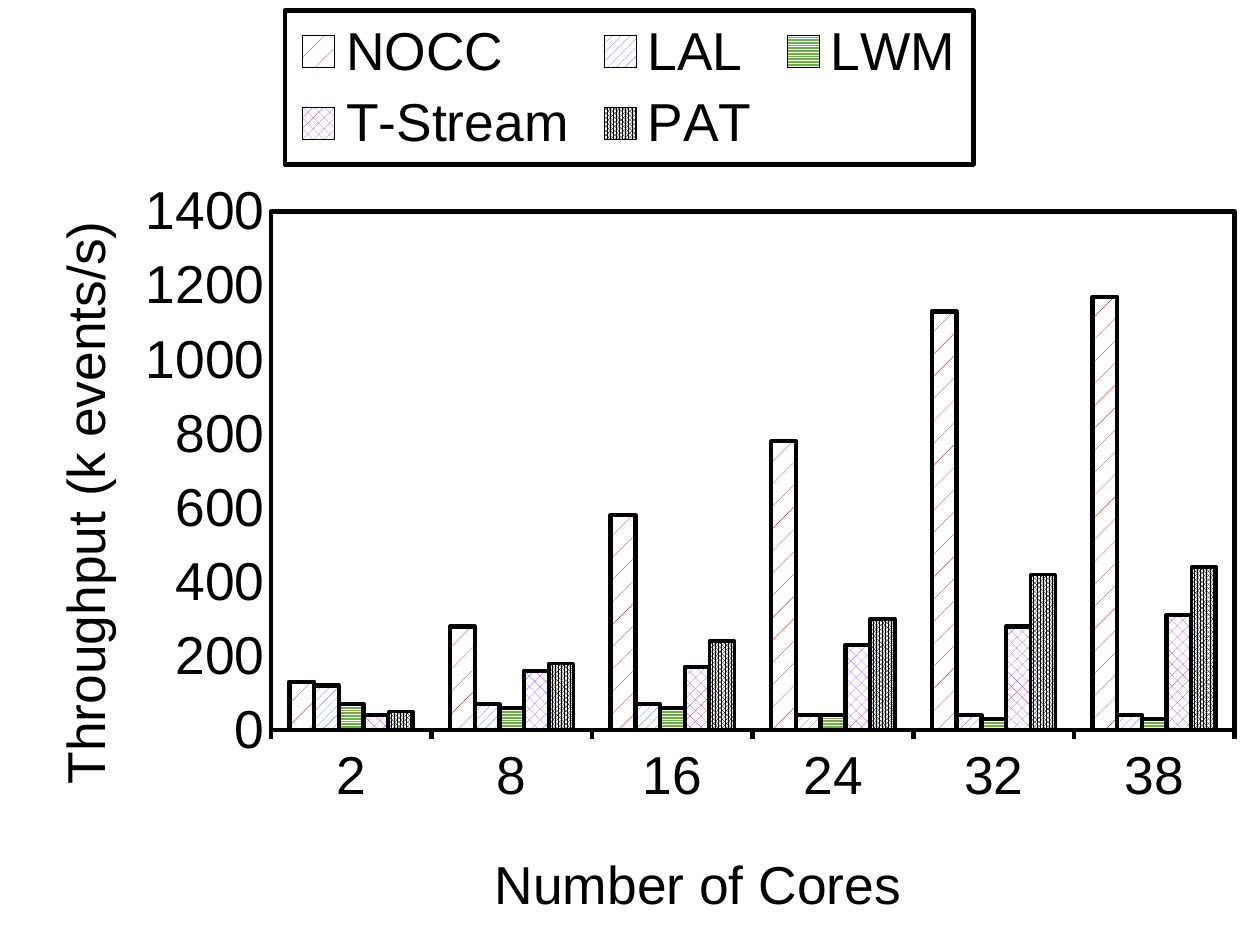
from lxml import etree
from pptx import Presentation
from pptx.chart.data import CategoryChartData
from pptx.dml.color import RGBColor
from pptx.enum.chart import XL_CHART_TYPE as Kind, XL_LEGEND_POSITION as Legend, XL_TICK_MARK as Tick
from pptx.enum.dml import MSO_PATTERN as Pat
from pptx.oxml import parse_xml
from pptx.oxml.ns import nsdecls, qn
from pptx.util import Cm, Pt

COLORS = {"black": "000000", "white": "FFFFFF", "red": "C90001",
          "blue": "4472C4", "green": "70AD47", "purple": "A345EE"}
FONT, SIZE = "Arial", Pt(24)
WIDTH, HEIGHT = Cm(20), Cm(15)
CORES = ["2", "8", "16", "24", "32", "38"]
SERIES = [
    ("NOCC", [130, 280, 580, 780, 1130, 1170], Pat.PERCENT_5, "red", 2),
    ("LAL", [120, 70, 70, 40, 40, 40], Pat.WIDE_UPWARD_DIAGONAL, "blue", 2),
    ("LWM", [70, 60, 60, 40, 30, 30], Pat.DARK_HORIZONTAL, "green", 2),
    ("T-Stream", [40, 160, 170, 230, 280, 310], Pat.PERCENT_50, "purple", 2),
    ("PAT", [50, 180, 240, 300, 420, 440], Pat.PERCENT_90, "black", 1.5),
]
PLOT_BOX = (Cm(4.3), Cm(3.36), Cm(15.3), Cm(8.23))
LEGEND_BOX = (Cm(4.52), Cm(0.17), Cm(10.93), Cm(2.44))
CORES_TITLE = (Cm(7.7), Cm(13.33))
THROUGHPUT_TITLE = (Cm(0.66), Cm(3.36))


def rgb(name):
    return RGBColor.from_string(COLORS[name])


def style_font(font):
    font.name, font.size, font.bold = FONT, SIZE, False
    font.color.rgb = rgb("black")


def style_line(line, points=2):
    line.width = Pt(points)
    line.color.rgb = rgb("black")


def place(element, index, box, inner=False):
    old = element.find(qn("c:layout"))
    if old is not None:
        element.remove(old)
    layout = etree.Element(qn("c:layout"))
    manual = etree.SubElement(layout, qn("c:manualLayout"))
    settings = [("layoutTarget", "inner")] if inner else []
    settings += [("xMode", "edge"), ("yMode", "edge")]
    settings += [(key, f"{length / full:.4f}")
                 for key, length, full in zip("xywh", box, (WIDTH, HEIGHT) * 2)]
    for key, value in settings:
        etree.SubElement(manual, qn(f"c:{key}")).set("val", value)
    element.insert(index, layout)


def frame():
    return parse_xml(
        f'<c:spPr {nsdecls("c", "a")}><a:noFill/><a:ln w="{Pt(2)}"><a:solidFill>'
        f'<a:srgbClr val="{COLORS["black"]}"/></a:solidFill></a:ln></c:spPr>')


def add_title(axis, text, box, rotation):
    tf = axis.axis_title.text_frame
    tf.text = text
    style_font(tf.paragraphs[0].runs[0].font)
    body = tf._txBody.find(qn("a:bodyPr"))
    body.set("rot", str(rotation))
    body.set("vert", "horz")
    place(axis.axis_title._element, 1, box)


def main():
    prs = Presentation()
    prs.slide_width, prs.slide_height = WIDTH, HEIGHT
    s = prs.slides.add_slide(prs.slide_layouts[6])

    data = CategoryChartData()
    data.categories = CORES
    for name, values, *_ in SERIES:
        data.add_series(name, values)
    chart = s.shapes.add_chart(Kind.COLUMN_CLUSTERED, 0, 0, WIDTH, HEIGHT, data).chart
    chart.has_title = False
    style_font(chart.font)

    plot = chart.plots[0]
    plot.gap_width, plot.overlap = 150, 0
    plot.vary_by_categories = False
    for series, (_, _, pattern, color, points) in zip(plot.series, SERIES):
        series.invert_if_negative = False
        fill = series.format.fill
        fill.patterned()
        fill.pattern = pattern
        fill.fore_color.rgb = rgb(color)
        fill.back_color.rgb = rgb("white")
        style_line(series.format.line, points)

    cores, throughput = chart.category_axis, chart.value_axis
    for axis in (cores, throughput):
        axis.has_major_gridlines = False
        axis.minor_tick_mark = Tick.NONE
        style_font(axis.tick_labels.font)
    cores.major_tick_mark = Tick.OUTSIDE
    style_line(cores.format.line)
    throughput.major_tick_mark = Tick.NONE
    throughput.format.line.fill.background()
    throughput.minimum_scale, throughput.maximum_scale = 0, 1400
    throughput.major_unit = 200
    throughput.tick_labels.number_format = "General"
    throughput.tick_labels.number_format_is_linked = False
    add_title(cores, "Number of Cores", CORES_TITLE, 0)
    add_title(throughput, "Throughput (k events/s)", THROUGHPUT_TITLE, -5400000)

    chart.has_legend = True
    legend = chart.legend
    legend.position = Legend.TOP
    legend.include_in_layout = False
    style_font(legend.font)
    place(legend._element, 1, LEGEND_BOX)
    legend._element.find(qn("c:overlay")).addnext(frame())

    area = chart._chartSpace.chart.plotArea
    place(area, 0, PLOT_BOX, inner=True)
    area.append(frame())

    prs.save("out.pptx")


if __name__ == "__main__":
    main()
